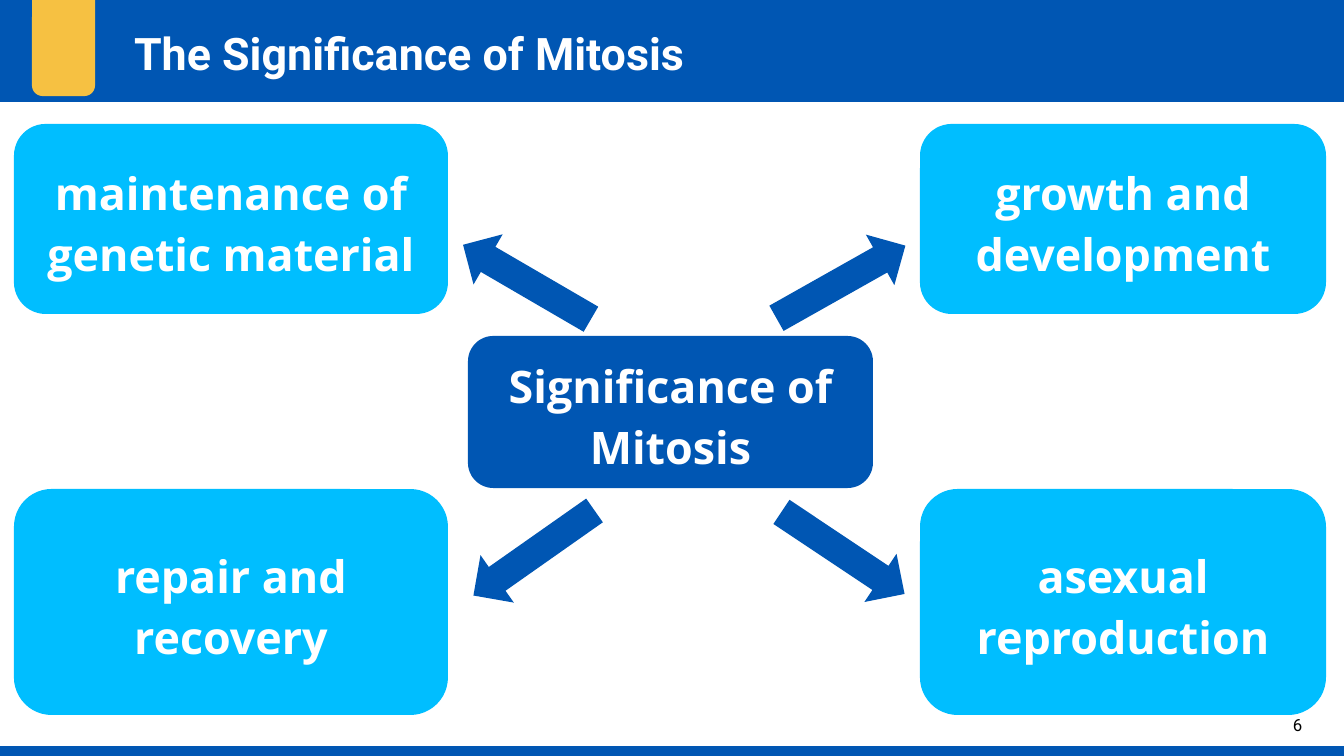
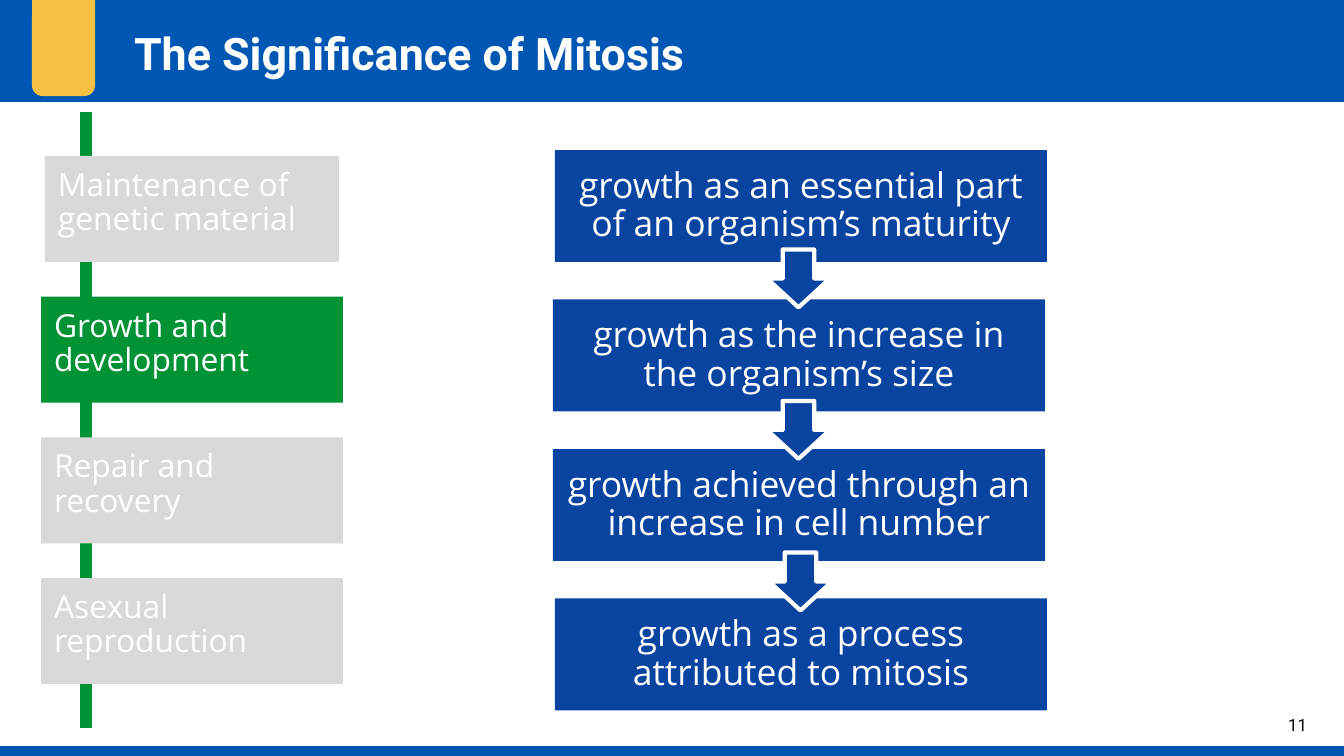
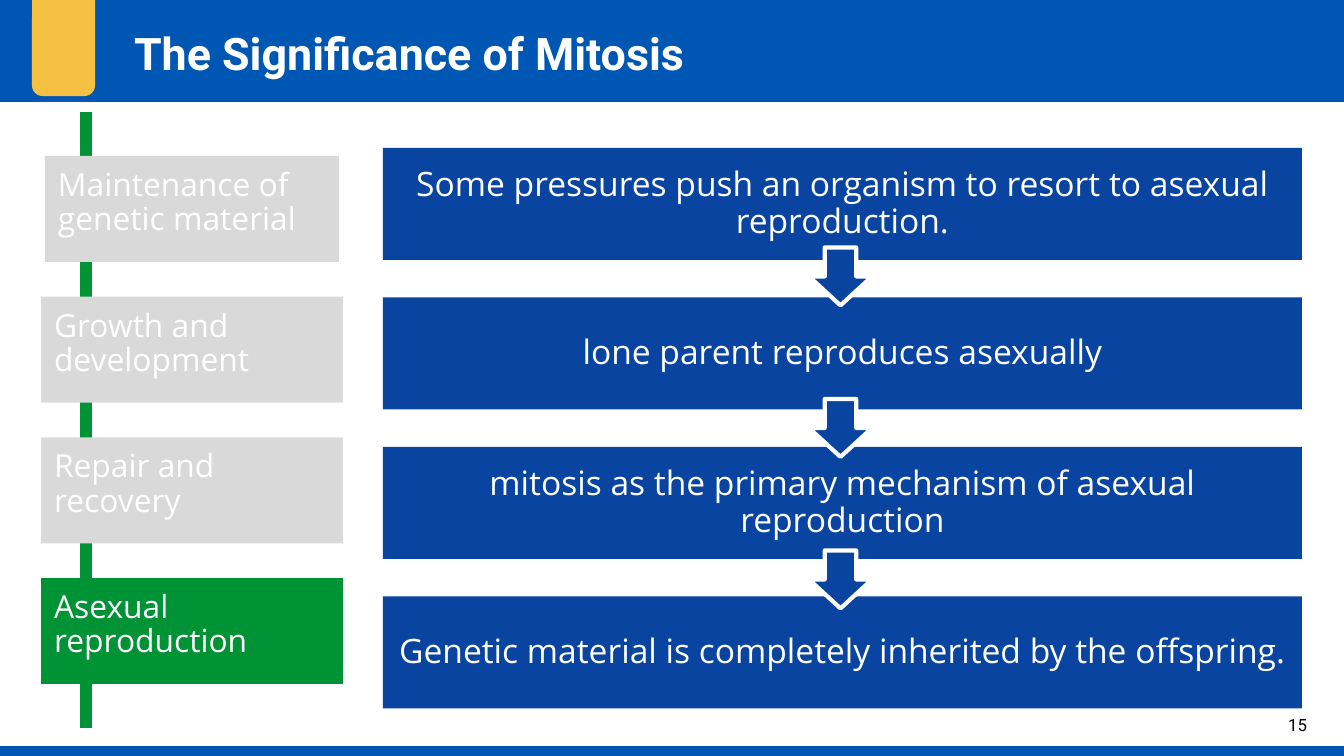
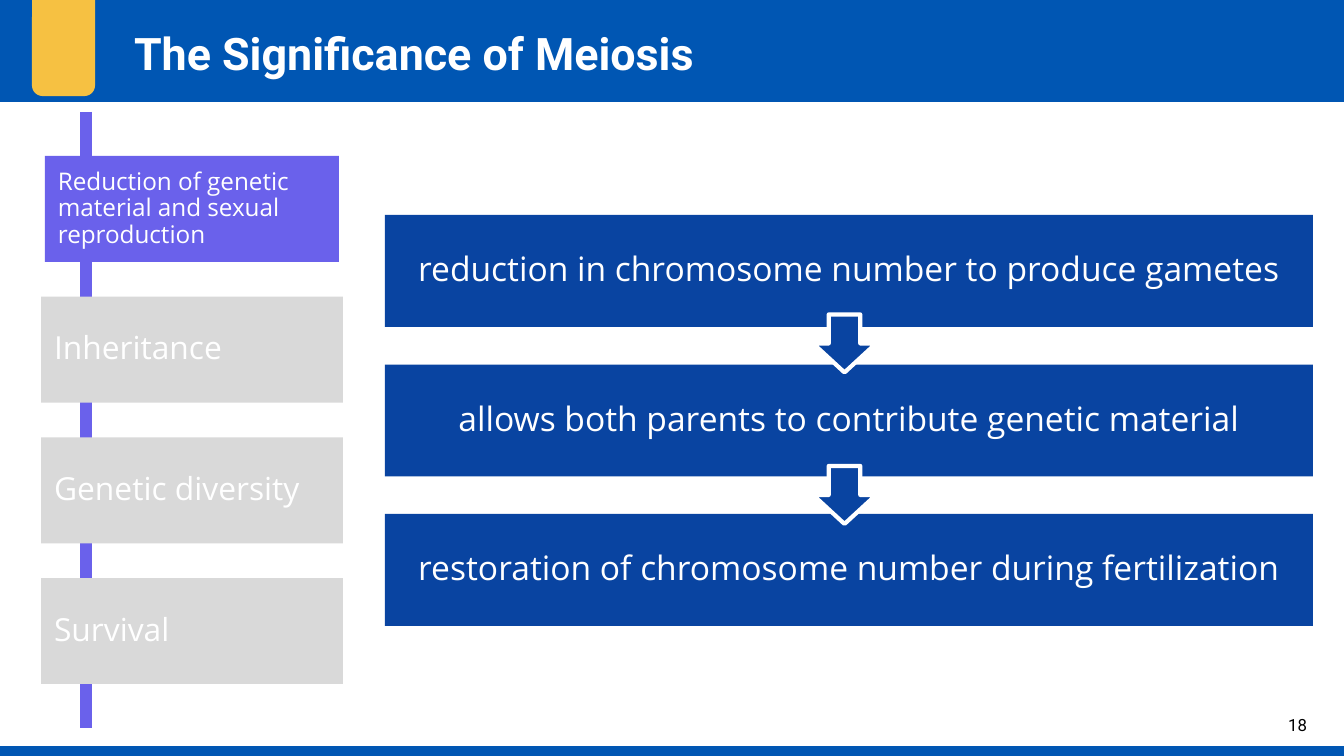
from pptx import Presentation
from pptx import util as u
from pptx.dml.color import RGBColor
from pptx.enum import shapes, text
from lxml import etree

COLORS = {
    "band": "0056B3", "tag": "F6C142", "topic": "00BEFF", "card": "0944A1",
    "muted": "D9D9D9", "mitosis": "009336", "meiosis": "6A61EB",
    "white": "FFFFFF", "black": "000000",
}
PX = 914400 / 134.4
SLIDE_W, SLIDE_H = 1344, 756
KIND = shapes.MSO_SHAPE
ALIGN = text.PP_ALIGN
ANCHOR = text.MSO_ANCHOR

BANDS = [
    (KIND.RECTANGLE, (-1, -1, 1345, 103), "band"),
    (KIND.ROUNDED_RECTANGLE, (32, -16, 63, 112), "tag"),
    (KIND.RECTANGLE, (-1, 746, 1345, 10), "band"),
]
HUB = ("Significance of Mitosis", (468, 336, 405, 152))
COLUMNS = {"left": (14, 434), "right": (920, 406)}
ROWS = {"top": (124, 190), "bottom": (489, 226)}
TOPICS = [
    ("maintenance of genetic material", "left", "top", (453, 253), 210.2),
    ("growth and development", "right", "top", (767, 253), 330.6),
    ("repair and recovery", "left", "bottom", (460, 524), 144.9),
    ("asexual reproduction", "right", "bottom", (769, 524), 33.7),
]
MITOSIS_TABS = [
    ("Maintenance of genetic material", 17), ("Growth and development", 17),
    ("Repair and recovery", 17), ("Asexual reproduction", 17),
]
MEIOSIS_TABS = [
    ("Reduction of genetic material and sexual reproduction", 13),
    ("Inheritance", 17), ("Genetic diversity", 17), ("Survival", 17),
]
FLOWS = [
    {
        "title": "The Significance of Mitosis", "number": 11,
        "tabs": MITOSIS_TABS, "active": 1, "accent": "mitosis", "anchor": ANCHOR.TOP,
        "top": 150, "width": 492, "size": 19,
        "card_x": [555, 553, 553, 555], "arrow_x": [767, 767, 769],
        "steps": [
            "growth as an essential part of an organism’s maturity",
            "growth as the increase in the organism’s size",
            "growth achieved through an increase in cell number",
            "growth as a process attributed to mitosis",
        ],
    },
    {
        "title": "The Significance of Mitosis", "number": 15,
        "tabs": MITOSIS_TABS, "active": 3, "accent": "mitosis", "anchor": ANCHOR.TOP,
        "top": 148, "width": 919, "size": 18,
        "card_x": [383] * 4, "arrow_x": [809] * 3,
        "steps": [
            "Some pressures push an organism to resort to asexual reproduction.",
            "lone parent reproduces asexually",
            "mitosis as the primary mechanism of asexual reproduction",
            "Genetic material is completely inherited by the offspring.",
        ],
    },
    {
        "title": "The Significance of Meiosis", "number": 18,
        "tabs": MEIOSIS_TABS, "active": 0, "accent": "meiosis", "anchor": ANCHOR.MIDDLE,
        "top": 215, "width": 928, "size": 18,
        "card_x": [385] * 3, "arrow_x": [813] * 2,
        "steps": [
            "reduction in chromosome number to produce gametes",
            "allows both parents to contribute genetic material",
            "restoration of chromosome number during fertilization",
        ],
    },
]


def px(n):
    return u.Emu(round(n * PX))


def rgb(name):
    return RGBColor.from_string(COLORS[name])


def place(sp, box):
    sp.left, sp.top, sp.width, sp.height = map(px, box)


def write(sp, words, size, color="white", font="Open Sans", bold=False,
          align=ALIGN.CENTER, anchor=ANCHOR.MIDDLE, spacing=None, inset_y=13):
    tf = sp.text_frame
    tf.text = words
    tf.word_wrap = True
    tf.auto_size = text.MSO_AUTO_SIZE.NONE
    tf.vertical_anchor = anchor
    tf.margin_left = tf.margin_right = px(13)
    tf.margin_top = tf.margin_bottom = px(inset_y)
    p = tf.paragraphs[0]
    p.alignment = align
    p.line_spacing = spacing
    f = p.runs[0].font
    f.size, f.name, f.bold = u.Pt(size), font, bold
    f.color.rgb = rgb(color)


def add_block(slide, kind, box, fill, outline=None):
    sp = slide.shapes.add_shape(kind, *map(px, box))
    sp.shadow.inherit = False
    sp.fill.solid()
    sp.fill.fore_color.rgb = rgb(fill)
    if outline:
        sp.line.color.rgb = rgb(outline)
        sp.line.width = u.Pt(2.25)
    else:
        sp.line.fill.background()
    return sp


def add_slide(prs, title, number):
    slide = prs.slides.add_slide(prs.slide_layouts[5])
    place(slide.shapes.title, (121, 13, 970, 77))
    write(slide.shapes.title, title, 24, font="Roboto", bold=True,
          align=ALIGN.LEFT, anchor=ANCHOR.TOP)
    for kind, box, fill in reversed(BANDS):
        band = add_block(slide, kind, box, fill)
        slide.shapes.element.insert(2, band.element)
    page = slide.shapes.add_textbox(*map(px, (1257, 696, 81, 58)))
    write(page, str(number), 9, "black", "Roboto")
    return slide


def add_hub_slide(prs):
    slide = add_slide(prs, "The Significance of Mitosis", 6)
    boxes = [(*HUB, "band")]
    for words, column, row, arrow_at, angle in TOPICS:
        x, w = COLUMNS[column]
        y, h = ROWS[row]
        boxes.append((words, (x, y, w, h), "topic"))
        arrow = add_block(slide, KIND.RIGHT_ARROW, (*arrow_at, 148, 58), "band")
        arrow.rotation = angle
    for words, box, fill in boxes:
        sp = add_block(slide, KIND.ROUNDED_RECTANGLE, box, fill)
        write(sp, words, 24, bold=True, spacing=1.15)


def add_rail(slide, flow):
    rail = slide.shapes.add_connector(
        shapes.MSO_CONNECTOR.STRAIGHT, *map(px, (86, 112, 86, 728)))
    rail.line.color.rgb = rgb(flow["accent"])
    rail.line.width = u.Pt(6)
    ns = "http://schemas.openxmlformats.org/drawingml/2006/main"
    etree.SubElement(rail.element.spPr, f"{{{ns}}}effectLst")
    for i, (words, size) in enumerate(flow["tabs"]):
        x, w = (41, 302) if i else (45, 294)
        fill = flow["accent"] if i == flow["active"] else "muted"
        tab = add_block(slide, KIND.RECTANGLE, (x, 156 + 140.7 * i, w, 106), fill)
        write(tab, words, size, align=ALIGN.LEFT, anchor=flow["anchor"], spacing=0.9)


def add_flow_slide(prs, flow):
    slide = add_slide(prs, flow["title"], flow["number"])
    add_rail(slide, flow)
    for i, (x, words) in enumerate(zip(flow["card_x"], flow["steps"])):
        box = (x, flow["top"] + 149.5 * i, flow["width"], 112)
        card = add_block(slide, KIND.RECTANGLE, box, "card")
        write(card, words, flow["size"], inset_y=7, spacing=0.9)
    for i, x in enumerate(flow["arrow_x"]):
        box = (x, flow["top"] + 99.5 + 151.5 * i, 63, 58)
        add_block(slide, KIND.DOWN_ARROW, box, "card", "white")


def main():
    prs = Presentation()
    prs.slide_width, prs.slide_height = px(SLIDE_W), px(SLIDE_H)
    add_hub_slide(prs)
    for flow in FLOWS:
        add_flow_slide(prs, flow)
    prs.save("out.pptx")


if __name__ == "__main__":
    main()
